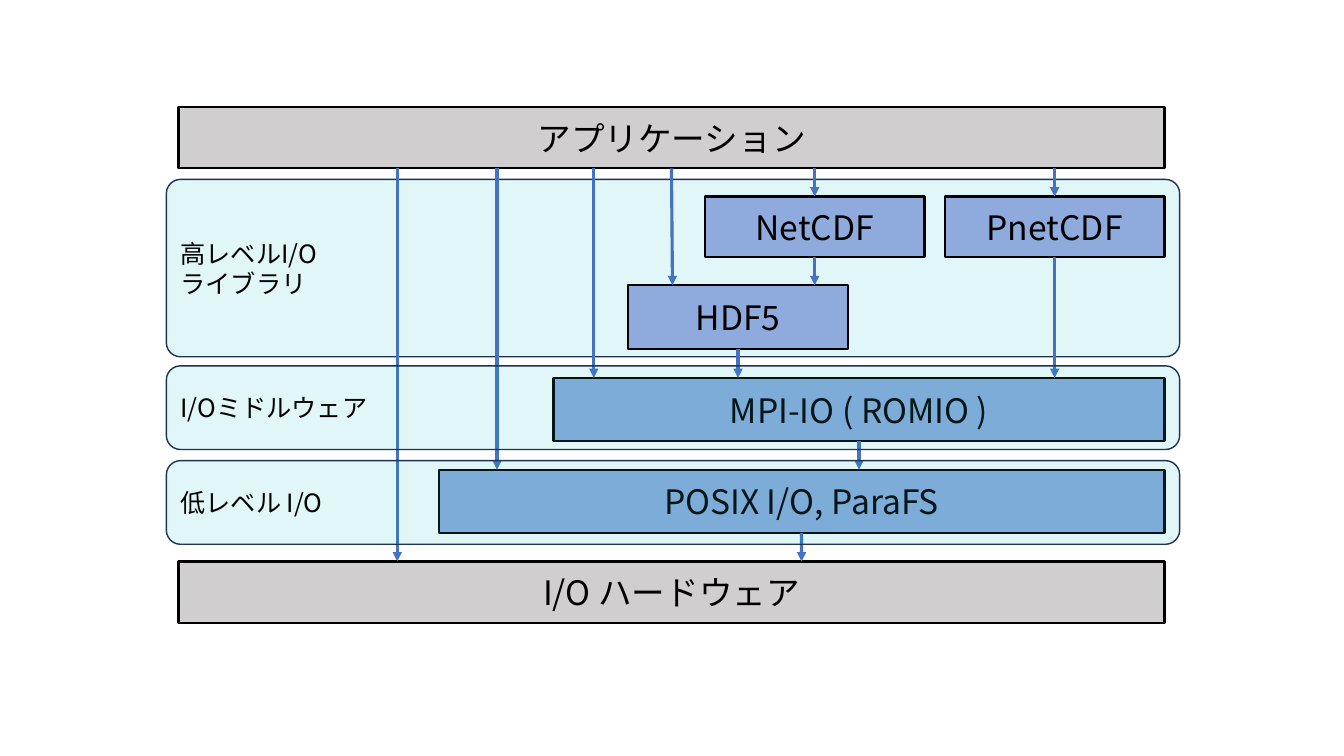
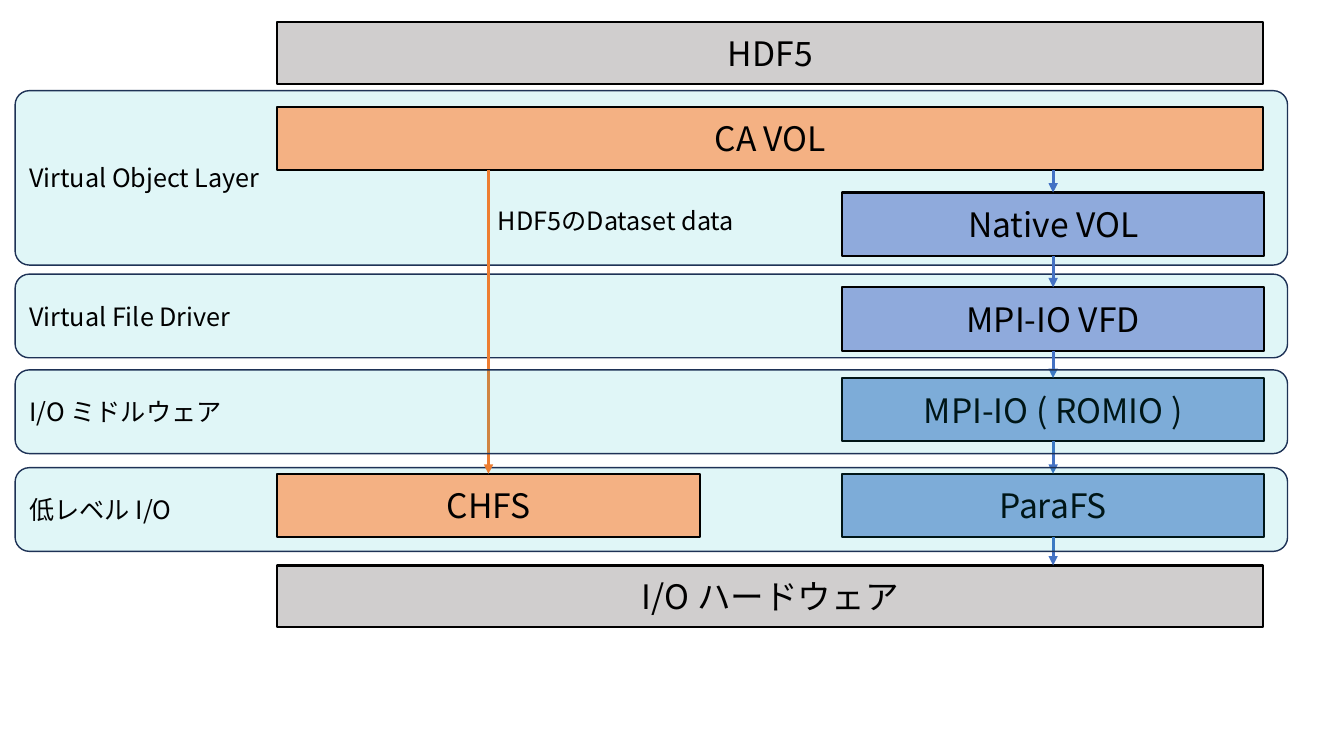
from pptx import Presentation
from pptx.dml.color import RGBColor
from pptx.enum.shapes import MSO_CONNECTOR, MSO_SHAPE
from pptx.enum.text import MSO_ANCHOR, MSO_AUTO_SIZE, PP_ALIGN
from pptx.oxml.ns import qn
from pptx.util import Inches, Pt
from lxml.etree import SubElement

COLORS = {
    "text": "000000",
    "edge": "000000",
    "grey": "D0CECE",
    "blue": "8FAADC",
    "peach": "F4B183",
    "band": "00BBC1",
    "navy": "1E3256",
    "arrow": "4472C4",
    "orange": "ED7D31",
}
FONT = "Noto Sans CJK JP"
LABEL = {"size": Pt(18), "name": FONT}
NAME = {"size": Pt(24), "name": FONT}
FRAME = {"word_wrap": True, "vertical_anchor": MSO_ANCHOR.MIDDLE}
NOTE = {"word_wrap": True, "auto_size": MSO_AUTO_SIZE.SHAPE_TO_FIT_TEXT}
RADIUS = 0.14
ALPHA = "12000"


def color(key):
    return RGBColor.from_string(COLORS[key])


def assign(item, values):
    for key, value in values.items():
        setattr(item, key, value)


def write(shape, text, frame, font, align):
    body = shape.text_frame
    assign(body, frame)
    body.text = text
    for par in body.paragraphs:
        par.alignment = align
        for run in par.runs:
            assign(run.font, font)
            run.font.color.rgb = color("text")
            SubElement(run.font._element, qn("a:ea"), typeface=FONT)


def block(slide, kind, area, fill, edge, width):
    shape = slide.shapes.add_shape(kind, *map(Inches, area))
    shape.shadow.inherit = False
    shape.fill.solid()
    shape.fill.fore_color.rgb = color(fill)
    shape.line.color.rgb = color(edge)
    shape.line.width = Pt(width)
    return shape


def box(slide, text, area, fill="blue"):
    shape = block(slide, MSO_SHAPE.RECTANGLE, area, fill, "edge", 1.5)
    write(shape, text, FRAME, NAME, PP_ALIGN.CENTER)
    return shape


def band(slide, text, left, top, width, height=0.83):
    area = (left, top, width, height)
    shape = block(slide, MSO_SHAPE.ROUNDED_RECTANGLE, area, "band", "navy", 1)
    shape.adjustments[0] = RADIUS / height
    tint = shape.element.spPr.find(qn("a:solidFill")).find(qn("a:srgbClr"))
    SubElement(tint, qn("a:alpha"), val=ALPHA)
    write(shape, text, FRAME, LABEL, PP_ALIGN.LEFT)


def note(slide, text, area):
    shape = slide.shapes.add_textbox(*map(Inches, area))
    write(shape, text, NOTE, LABEL, PP_ALIGN.LEFT)


def middle(shape):
    return shape.left + shape.width // 2


def arrow(slide, upper, lower, spot, tone="arrow"):
    place = Inches(spot)
    line = slide.shapes.add_connector(
        MSO_CONNECTOR.STRAIGHT,
        place, upper.top + upper.height, place, lower.top)
    near = Inches(0.02)
    if abs(middle(upper) - place) < near:
        line.begin_connect(upper, 2)
    if abs(middle(lower) - place) < near:
        line.end_connect(lower, 0)
    line.line.color.rgb = color(tone)
    line.line.width = Pt(2.25)
    props = line.element.spPr
    SubElement(props.find(qn("a:ln")), qn("a:tailEnd"), type="triangle")
    SubElement(props, qn("a:effectLst"))


def stack(slide):
    left, width = 1.65, 10.05
    band(slide, "高レベルI/O\nライブラリ", left, 1.78, width, 1.76)
    app = box(slide, "アプリケーション", (1.77, 1.06, 9.78, 0.61), "grey")
    hdf = box(slide, "HDF5", (6.23, 2.83, 2.18, 0.63))
    net = box(slide, "NetCDF", (6.99, 1.95, 2.18, 0.6))
    mpi = box(slide, "MPI-IO ( ROMIO )", (5.49, 3.75, 6.06, 0.63))
    posix = box(slide, "POSIX I/O, ParaFS", (4.35, 4.66, 7.2, 0.63))
    pnet = box(slide, "PnetCDF", (9.37, 1.95, 2.18, 0.6))
    disk = box(slide, "I/O ハードウェア", (1.77, 5.57, 9.78, 0.61), "grey")
    for upper, lower, spot in (
        (app, pnet, 10.46), (app, net, 8.08), (net, hdf, 8.08),
        (app, hdf, 6.67), (hdf, mpi, 7.32), (pnet, mpi, 10.46),
        (mpi, posix, 8.52), (posix, disk, 7.95), (app, mpi, 5.89),
        (app, posix, 4.93), (app, disk, 3.94),
    ):
        arrow(slide, upper, lower, spot)
    band(slide, "I/Oミドルウェア", left, 3.63, width)
    band(slide, "低レベル I/O", left, 4.57, width)


def layers(slide):
    left, width = 0.15, 12.62
    start, right, wide, half, tall = 2.75, 8.35, 9.78, 4.19, 0.63
    lane = right + half / 2
    band(slide, "Virtual Object Layer", left, 0.9, width, 1.73)
    box(slide, "HDF5", (start, 0.22, wide, 0.61), "grey")
    mpi = box(slide, "MPI-IO ( ROMIO )", (right, 3.75, half, tall))
    store = box(slide, "ParaFS", (right, 4.7, half, tall))
    disk = box(slide, "I/O ハードウェア", (start, 5.61, wide, 0.61), "grey")
    arrow(slide, mpi, store, lane)
    arrow(slide, store, disk, lane)
    band(slide, "Virtual File Driver", left, 2.72, width)
    band(slide, "低レベル I/O", left, 4.64, width)
    cache = box(slide, "CHFS", (start, 4.7, half, tall), "peach")
    driver = box(slide, "MPI-IO VFD", (right, 2.85, half, tall))
    vol = box(slide, "CA VOL", (start, 1.06, wide, tall), "peach")
    native = box(slide, "Native VOL", (right, 1.91, half, tall))
    arrow(slide, driver, mpi, lane)
    arrow(slide, vol, cache, start + half / 2, "orange")
    arrow(slide, native, driver, lane)
    band(slide, "I/O ミドルウェア", left, 3.67, width)
    arrow(slide, vol, native, lane)
    note(slide, "HDF5のDataset data", (4.84, 1.99, 2.92, 0.4))


def main():
    deck = Presentation()
    assign(deck, {"slide_width": Inches(13.33), "slide_height": Inches(7.5)})
    for draw in (stack, layers):
        draw(deck.slides.add_slide(deck.slide_layouts[6]))
    deck.save("out.pptx")


if __name__ == "__main__":
    main()
